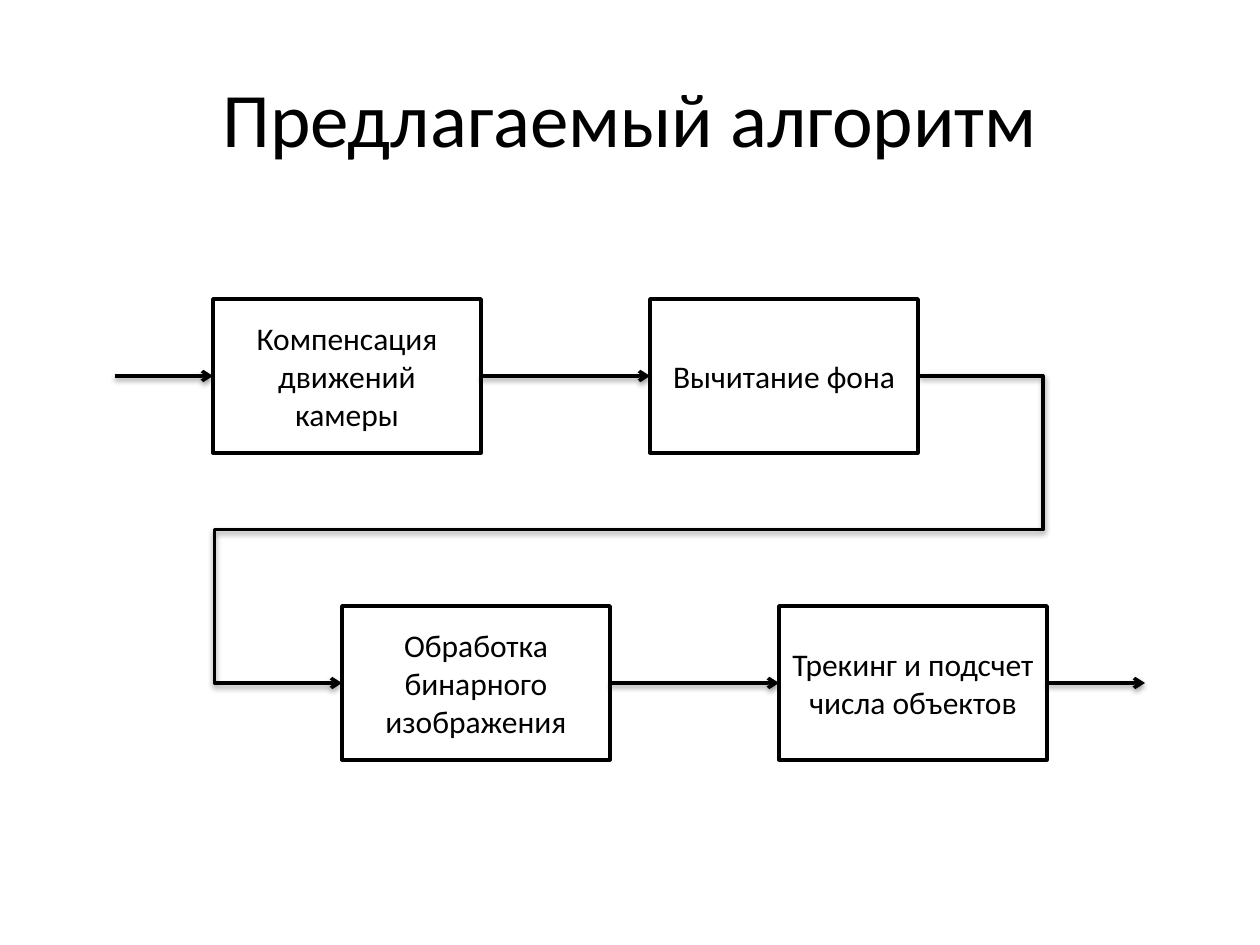
from lxml.etree import SubElement
from pptx import Presentation
from pptx.dml.color import RGBColor
from pptx.enum.shapes import MSO_CONNECTOR as Connector, MSO_SHAPE as Shape
from pptx.enum.text import MSO_ANCHOR as Anchor, PP_ALIGN as Align
from pptx.oxml.ns import qn
from pptx.util import Pt

SCALE = 914400 / 126
BLACK, WHITE = "000000", "FFFFFF"
TITLE = ("Предлагаемый алгоритм", (63, 38, 1134, 158))
ROWS = [
    (213, 299, ["Компенсация движений камеры", "Вычитание фона"]),
    (342, 606, ["Обработка бинарного изображения", "Трекинг и подсчет числа объектов"]),
]
BOX_WIDTH, BOX_HEIGHT, BOX_STEP = 268, 154, 437
STUB = 98
LEFT_SITE, RIGHT_SITE = 1, 3
BENDS = [-21700, 50000, 122100]
SHADOW = {"blurRad": Pt(3.1), "dist": Pt(1.6), "dir": 90 * 60000, "rotWithShape": 0}
SHADOW_ALPHA = 38000


def px(value):
    """Turn pixels into EMU."""
    return round(value * SCALE)


def color(value):
    """Turn a hex string into a colour."""
    return RGBColor.from_string(value)


def add_xml(parent, tag, **attributes):
    """Append a drawing element with the given attributes."""
    return SubElement(parent, qn(tag), {key: str(value) for key, value in attributes.items()})


def set_line(line):
    """Draw a black line of two points."""
    line.color.rgb = color(BLACK)
    line.width = Pt(2)


def write(shape, text, size):
    """Put centred black text into a shape."""
    frame = shape.text_frame
    for name, value in {"word_wrap": True, "vertical_anchor": Anchor.MIDDLE}.items():
        setattr(frame, name, value)
    paragraph = frame.paragraphs[0]
    paragraph.alignment = Align.CENTER
    run = paragraph.add_run()
    run.text = text
    for name, value in {"name": "Calibri", "size": Pt(size)}.items():
        setattr(run.font, name, value)
    run.font.color.rgb = color(BLACK)


def add_box(slide, text, left, top):
    """Add one step of the algorithm."""
    shape = slide.shapes.add_shape(Shape.RECTANGLE, *map(px, (left, top, BOX_WIDTH, BOX_HEIGHT)))
    shape.shadow.inherit = False
    shape.fill.solid()
    shape.fill.fore_color.rgb = color(WHITE)
    set_line(shape.line)
    write(shape, text, 18)
    return shape


def add_arrow(slide, start, end, source=None, target=None, bends=()):
    """Add a shadowed arrow, glued to its boxes and bent if asked."""
    kind = Connector.ELBOW if bends else Connector.STRAIGHT
    arrow = slide.shapes.add_connector(kind, *map(px, start + end))
    if source is not None:
        arrow.begin_connect(source, RIGHT_SITE)
    if target is not None:
        arrow.end_connect(target, LEFT_SITE)
    set_line(arrow.line)
    properties = arrow._element.spPr
    add_xml(properties.find(qn("a:ln")), "a:tailEnd", type="arrow")
    shadow = add_xml(add_xml(properties, "a:effectLst"), "a:outerShdw", **SHADOW)
    add_xml(add_xml(shadow, "a:srgbClr", val=BLACK), "a:alpha", val=SHADOW_ALPHA)
    if bends:
        geometry = properties.find(qn("a:prstGeom"))
        geometry.set("prst", "bentConnector5")
        guides = geometry.find(qn("a:avLst"))
        for number, bend in enumerate(bends, 1):
            add_xml(guides, "a:gd", name=f"adj{number}", fmla=f"val {bend}")


def main():
    """Build the slide and save it."""
    presentation = Presentation()
    presentation.slide_width, presentation.slide_height = px(1260), px(945)
    slide = presentation.slides.add_slide(presentation.slide_layouts[6])
    text, area = TITLE
    write(slide.shapes.add_textbox(*map(px, area)), text, 44)

    steps = []
    for left, top, texts in ROWS:
        for column, text in enumerate(texts):
            x = left + column * BOX_STEP
            middle = top + BOX_HEIGHT // 2
            steps.append((add_box(slide, text, x, top), (x, middle), (x + BOX_WIDTH, middle)))

    for (source, _, start), (target, end, _) in zip(steps, steps[1:]):
        bends = BENDS if start[1] != end[1] else ()
        add_arrow(slide, start, end, source, target, bends)
    first, entry, _ = steps[0]
    last, _, exit_point = steps[-1]
    add_arrow(slide, (entry[0] - STUB, entry[1]), entry, target=first)
    add_arrow(slide, exit_point, (exit_point[0] + STUB, exit_point[1]), source=last)
    presentation.save("out.pptx")


if __name__ == "__main__":
    main()
